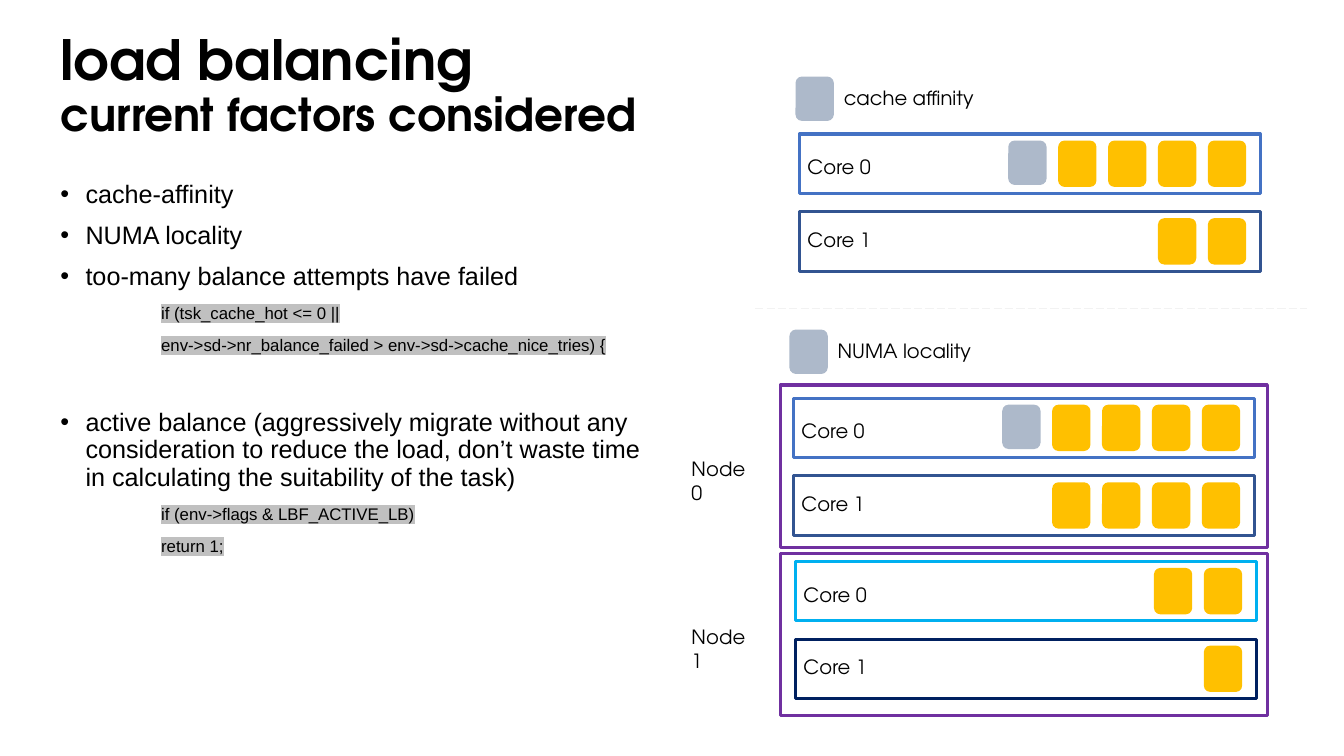
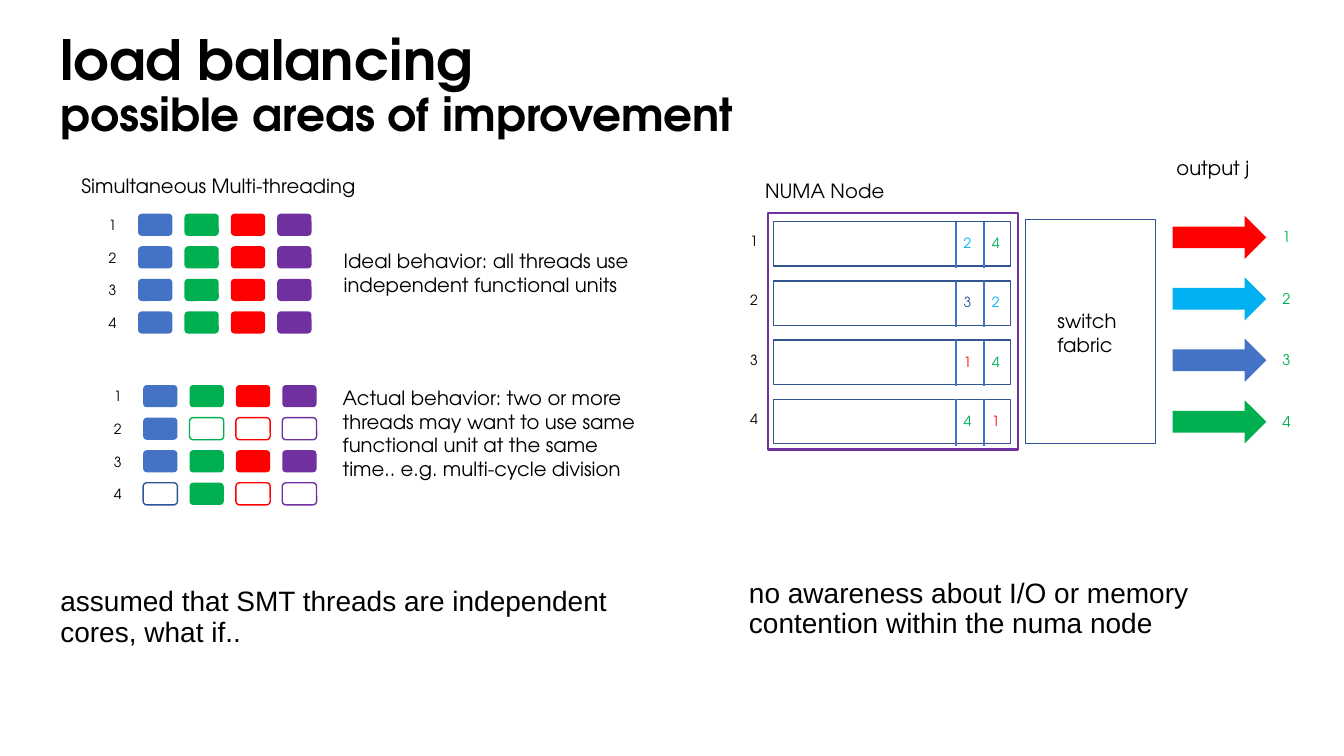
import pptx
import pptx.util
import pptx.dml.color
import pptx.enum.dml
import pptx.enum.shapes
import pptx.enum.text
import pptx.oxml
import pptx.oxml.ns

Inches, Pt = pptx.util.Inches, pptx.util.Pt
SHAPE = pptx.enum.shapes.MSO_SHAPE
HEADING, BODY = "TeX Gyre Adventor", "Arial"
COLORS = {
    "black": "000000", "blue": "4472C4", "steel": "325491", "navy": "002060",
    "sky": "00B0F0", "purple": "7030A0", "red": "FF0000", "green": "00B050",
    "indigo": "2F5597", "gold": "FFC000", "gray": "ADB9CA", "pale": "F2F2F2",
    "code": "C0C0C0",
}


def rgb(color):
    """Return the named color."""
    return pptx.dml.color.RGBColor.from_string(COLORS[color])


def element(tag, **attributes):
    """Return a new drawing element."""
    node = pptx.oxml.parse_xml(f"<{tag} {pptx.oxml.ns.nsdecls('a')}/>")
    for name, value in attributes.items():
        node.set(name, str(value))
    return node


def style(run, size, color="black", font=HEADING, bold=False):
    """Format one run."""
    run.font.name = font
    run.font.size = Pt(size)
    run.font.bold = bold
    run.font.color.rgb = rgb(color)


def add_box(slide, left, top, width, height):
    """Add an empty wrapping text box and return its frame."""
    frame = slide.shapes.add_textbox(
        Inches(left), Inches(top), Inches(width), Inches(height)).text_frame
    frame.word_wrap = True
    return frame


def add_label(slide, left, top, width, text, size=14, color="black"):
    """Add a diagram label."""
    frame = add_box(slide, left, top, width, 0.3)
    frame.text = text
    style(frame.paragraphs[0].runs[0], size, color)


def add_shape(slide, kind, left, top, width, height, fill=None, line=None, weight=1):
    """Add a flat shape, filled or outlined."""
    shape = slide.shapes.add_shape(
        kind, Inches(left), Inches(top), Inches(width), Inches(height))
    shape.shadow.inherit = False
    if fill:
        shape.fill.solid()
        shape.fill.fore_color.rgb = rgb(fill)
    else:
        shape.fill.background()
    if line:
        shape.line.color.rgb = rgb(line)
        shape.line.width = Pt(weight)
    else:
        shape.line.fill.background()


def add_line(slide, start, end, color, weight):
    """Add a straight line and return it."""
    line = slide.shapes.add_connector(
        pptx.enum.shapes.MSO_CONNECTOR.STRAIGHT, *map(Inches, start + end))
    line.line.color.rgb = rgb(color)
    line.line.width = Pt(weight)
    line._element.spPr.append(element("a:effectLst"))
    return line


def add_title(slide, subtitle):
    """Add the shared heading with its smaller second line."""
    frame = add_box(slide, 0.5, 0.4, 12.38, 0.93)
    frame.vertical_anchor = pptx.enum.text.MSO_ANCHOR.MIDDLE
    heading = frame.paragraphs[0]
    heading.text = "load balancing\v" + subtitle
    heading.line_spacing = 0.9
    for run, size in zip(heading.runs, (39.6, 32.4)):
        style(run, size, bold=True)


def add_statement(slide, left, top, width, text):
    """Add a body statement under a diagram."""
    frame = add_box(slide, left, top, width, 1.05)
    frame.text = text
    statement = frame.paragraphs[0]
    statement.line_spacing = 0.9
    statement.space_before = Pt(10)
    style(statement.runs[0], 20, font=BODY)


def add_factors(slide, left, top, width, height, factors):
    """List bulleted factors and highlighted code as (kind, text, space before)."""
    frame = add_box(slide, left, top, width, height)
    frame.text = "\n".join(text for _, text, _ in factors)
    for factor, (kind, _, space) in zip(frame.paragraphs, factors):
        factor.line_spacing = 0.9
        factor.space_before = Pt(space)
        run = factor.runs[0]
        properties = factor._p.get_or_add_pPr()
        if kind == "code":
            style(run, 12, font=BODY)
            properties.set("marL", str(Inches(1)))
            highlight = element("a:highlight")
            highlight.append(element("a:srgbClr", val=COLORS["code"]))
            run.font._element.find(pptx.oxml.ns.qn("a:latin")).addprevious(highlight)
        else:
            style(run, 18, font=BODY)
            properties.set("marL", str(Inches(0.25)))
            properties.set("indent", str(-Inches(0.25)))
            properties.append(element("a:buFont", typeface=BODY))
            properties.append(element("a:buChar", char="•"))


def add_task(slide, left, top, color="gold"):
    """Add one task; the gray candidate is a little shorter."""
    height = 0.44 if color == "gray" else 0.46
    add_shape(slide, SHAPE.ROUNDED_RECTANGLE, left, top, 0.38, height, fill=color)


def add_key(slide, left, top, text):
    """Add the gray task with its explanation."""
    add_task(slide, left, top, "gray")
    add_label(slide, left + 0.38, top + 0.04, 3.28, text)


def add_cores(slide, left, top, colors, queues):
    """Add two core run queues, each filled from the right."""
    for core, (color, queue) in enumerate(zip(colors, queues)):
        lane = top + 0.77 * core
        add_shape(slide, SHAPE.RECTANGLE, left, lane, 4.57, 0.59, line=color, weight=2.25)
        add_label(slide, left - 0.02, lane + 0.16 - 0.05 * core, 1.05, f"Core {core}")
        for place, task in enumerate(queue):
            add_task(slide, left + 4.05 - 0.495 * place, lane + 0.065, task)


def add_node(slide, left, top, name):
    """Add a node frame with its name on the left."""
    add_shape(slide, SHAPE.RECTANGLE, left, top, 4.83, 1.61, line="purple", weight=2.25)
    add_label(slide, left - 0.98, top + 0.665, 0.88, name)


def add_threads(slide, left, top, usage):
    """Add numbered threads by functional unit; 1 is filled, 0 is outlined."""
    for row, units in enumerate(usage):
        y = top + 0.323 * row
        add_label(slide, left - 0.39, y - 0.02, 0.29, str(row + 1), 10)
        for column, (used, color) in enumerate(
                zip(units, ("blue", "green", "red", "purple"))):
            outline = "indigo" if color == "blue" else color
            paint = {"fill": color} if used == "1" else {"line": outline}
            add_shape(slide, SHAPE.ROUNDED_RECTANGLE,
                      left + 0.46 * column, y, 0.34, 0.22, **paint)


def add_inputs(slide, left, top, queues):
    """Add the node's numbered input queues with two waiting packets each."""
    for row, packets in enumerate(queues):
        y = top + 0.09 + 0.587 * row
        add_shape(slide, SHAPE.RECTANGLE, left + 0.05, y, 2.35, 0.44, line="steel")
        add_label(slide, left - 0.28, y + 0.06, 0.29, str(row + 1), 10)
        for place, (target, color) in enumerate(packets):
            x = left + 1.86 + 0.28 * place
            add_line(slide, (x, y), (x, y + 0.46), "blue", 1)
            add_label(slide, x - 0.02, y + 0.08, 0.29, target, 10, color)
    add_shape(slide, SHAPE.RECTANGLE, left, top, 2.48, 2.35, line="purple", weight=1.5)


def add_outputs(slide, left, top, colors):
    """Add the numbered output arrows."""
    for row, color in enumerate(colors):
        y = top + 0.61 * row
        add_shape(slide, SHAPE.RIGHT_ARROW, left, y, 0.93, 0.43, fill=color)
        add_label(slide, left + 0.99, y + 0.075, 0.29, str(row + 1), 10.5, "green")


def build_factors_slide(slide):
    """Build the slide on current factors."""
    add_title(slide, "current factors considered")
    add_factors(slide, 0.5, 1.75, 6.17, 5.08, [
        ("bullet", "cache-affinity", 10),
        ("bullet", "NUMA locality", 10),
        ("bullet", "too-many balance attempts have failed", 10),
        ("code", "if (tsk_cache_hot <= 0 ||", 10),
        ("code", "env->sd->nr_balance_failed > env->sd->cache_nice_tries) {", 10),
        ("bullet", "active balance (aggressively migrate without any consideration to "
         "reduce the load, don’t waste time in calculating the suitability of the task)", 39),
        ("code", "if (env->flags & LBF_ACTIVE_LB)", 10),
        ("code", "return 1;", 10),
    ])
    waiting = ["gold"] * 4 + ["gray"]
    add_key(slide, 7.89, 0.76, "cache affinity")
    add_cores(slide, 7.93, 1.33, ("blue", "steel"), (waiting, ["gold"] * 2))
    divider = add_line(slide, (7.49, 3.06), (12.96, 3.06), "pale", 0.75)
    divider.line.dash_style = pptx.enum.dml.MSO_LINE.LONG_DASH
    add_key(slide, 7.83, 3.27, "NUMA locality")
    add_cores(slide, 7.87, 3.95, ("blue", "steel"), (waiting, ["gold"] * 4))
    add_cores(slide, 7.89, 5.57, ("sky", "navy"), (["gold"] * 2, ["gold"]))
    add_node(slide, 7.74, 3.82, "Node 0")
    add_node(slide, 7.74, 5.49, "Node 1")


def build_improvement_slide(slide):
    """Build the slide on areas of improvement."""
    add_title(slide, "possible areas of improvement")
    add_label(slide, 0.71, 1.68, 3.07, "Simultaneous Multi-threading")
    add_threads(slide, 1.37, 2.12, ["1111"] * 4)
    add_label(slide, 3.31, 2.42, 3.07,
              "Ideal behavior: all threads use independent functional units")
    add_threads(slide, 1.42, 3.82, ["1111", "1000", "1111", "0100"])
    add_label(slide, 3.3, 3.78, 3.31,
              "Actual behavior: two or more threads may want to use same functional "
              "unit at the same time.. e.g. multi-cycle division")
    add_statement(slide, 0.5, 5.78, 6.17,
                  "assumed that SMT threads are independent cores, what if..")

    add_label(slide, 7.49, 1.73, 3.07, "NUMA Node")
    add_inputs(slide, 7.62, 2.11, [
        (("2", "sky"), ("4", "green")),
        (("3", "indigo"), ("2", "sky")),
        (("1", "red"), ("4", "green")),
        (("4", "green"), ("1", "red")),
    ])
    add_shape(slide, SHAPE.RECTANGLE, 10.17, 2.18, 1.29, 2.22, line="indigo")
    add_label(slide, 10.39, 3.02, 1.07, "switch fabric")
    add_label(slide, 11.57, 1.5, 0.94, "output j")
    add_outputs(slide, 11.63, 2.14, ("red", "sky", "blue", "green"))
    add_statement(slide, 7.33, 5.7, 5.54,
                  "no awareness about I/O or memory contention within the numa node")


deck = pptx.Presentation()
deck.slide_width, deck.slide_height = Inches(13.33), Inches(7.5)
for build in (build_factors_slide, build_improvement_slide):
    build(deck.slides.add_slide(deck.slide_layouts[6]))
deck.save("out.pptx")
